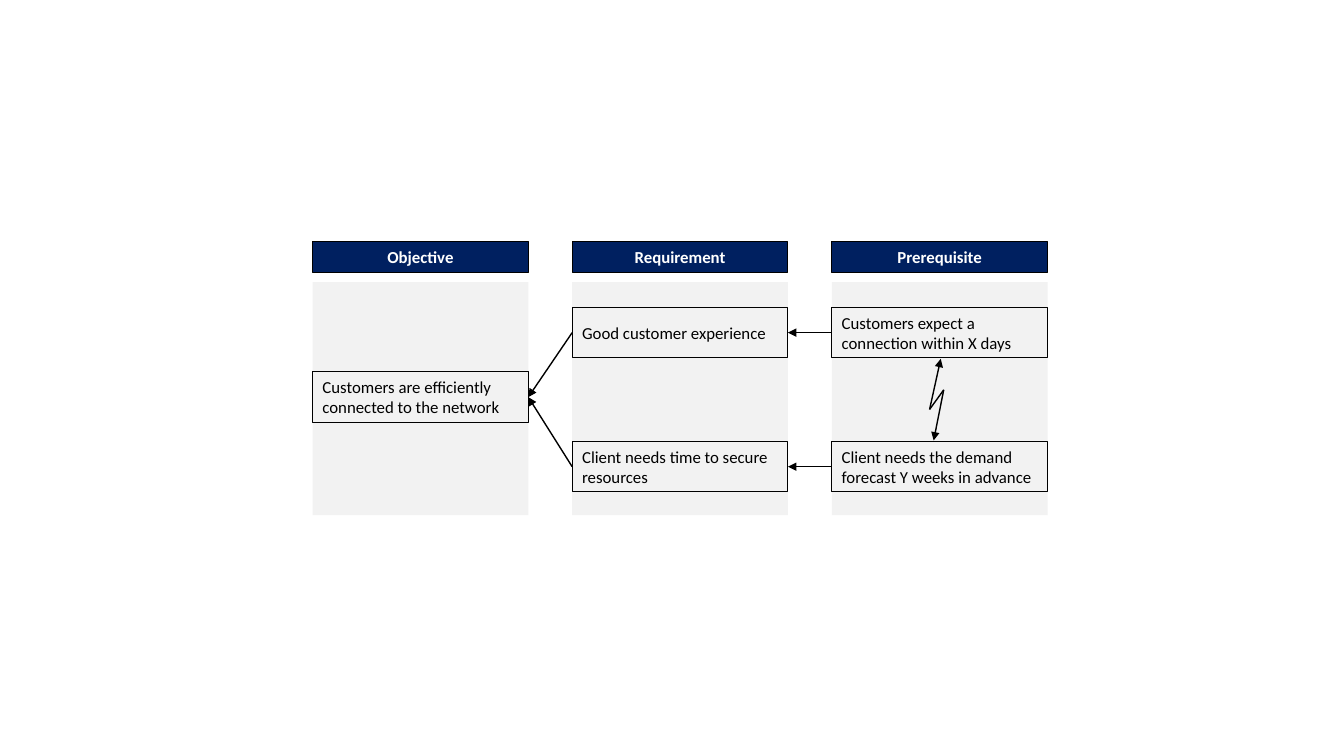
import pptx
import pptx.util
import pptx.dml.color
import pptx.enum.shapes
import pptx.enum.text
import pptx.oxml.ns
from collections import namedtuple
from lxml import etree

NAVY = pptx.dml.color.RGBColor(0x00, 0x20, 0x60)
PALE = pptx.dml.color.RGBColor(0xF2, 0xF2, 0xF2)
BLACK = pptx.dml.color.RGBColor(0, 0, 0)
WHITE = pptx.dml.color.RGBColor(255, 255, 255)

Box = namedtuple("Box", "left top width height")

COLUMN_WIDTH = 2.14
COLUMN_COUNT = 3
HEADER_HEIGHT = 0.3
PANEL_OFFSET = 0.4
STATEMENT_HEIGHT = 0.5
STATEMENT_OFFSETS = {"upper": 0.65, "middle": 1.29, "lower": 1.98}

HEADINGS = ["Objective", "Requirement", "Prerequisite"]
STATEMENTS = {
    (0, "middle"): "Customers are efficiently connected to the network",
    (1, "upper"): "Good customer experience",
    (1, "lower"): "Client needs time to secure resources",
    (2, "upper"): "Customers expect a connection within X days",
    (2, "lower"): "Client needs the demand forecast Y weeks in advance",
}
DEPENDENCIES = [
    ((2, "upper"), (1, "upper")),
    ((1, "upper"), (0, "middle")),
    ((1, "lower"), (0, "middle")),
    ((2, "lower"), (1, "lower")),
]
CONFLICT_STROKES = [
    ((1, 0.38), (0.29, 1), True),
    ((0, 0.62), (0.79, 0), True),
    ((1, 0.38), (0, 0.62), False),
]


def inches(*lengths):
    return [pptx.util.Inches(length) for length in lengths]


def add_rectangle(slide, box, fill=None, outlined=True):
    rectangle = slide.shapes.add_shape(
        pptx.enum.shapes.MSO_SHAPE.RECTANGLE, *inches(*box))
    rectangle.shadow.inherit = False
    if fill is None:
        rectangle.fill.background()
    else:
        rectangle.fill.solid()
        rectangle.fill.fore_color.rgb = fill
    if outlined:
        rectangle.line.color.rgb = BLACK
        rectangle.line.width = pptx.util.Pt(0.75)
    else:
        rectangle.line.fill.background()
    return rectangle


def write_text(shape, text, color=BLACK, bold=False,
               align=pptx.enum.text.PP_ALIGN.LEFT):
    frame = shape.text_frame
    frame.word_wrap = True
    frame.vertical_anchor = pptx.enum.text.MSO_ANCHOR.MIDDLE
    paragraph = frame.paragraphs[0]
    paragraph.alignment = align
    run = paragraph.add_run()
    run.text = text
    run.font.name = "Calibri"
    run.font.size = pptx.util.Pt(12)
    run.font.bold = bold
    run.font.color.rgb = color


def add_line(slide, start=(0, 0), end=(0, 0), arrow=True):
    line = slide.shapes.add_connector(
        pptx.enum.shapes.MSO_CONNECTOR.STRAIGHT, *inches(*start, *end))
    line.line.color.rgb = BLACK
    line.line.width = pptx.util.Pt(1)
    properties = line._element.spPr
    if arrow:
        outline = properties.find(pptx.oxml.ns.qn("a:ln"))
        etree.SubElement(outline, pptx.oxml.ns.qn("a:tailEnd"), type="triangle")
    etree.SubElement(properties, pptx.oxml.ns.qn("a:effectLst"))
    return line


def draw_column(slide, box, heading):
    panel = Box(box.left, box.top + PANEL_OFFSET,
                box.width, box.height - PANEL_OFFSET)
    add_rectangle(slide, panel, fill=PALE, outlined=False)
    header = add_rectangle(slide, box._replace(height=HEADER_HEIGHT), fill=NAVY)
    write_text(header, heading, color=WHITE, bold=True,
               align=pptx.enum.text.PP_ALIGN.CENTER)


def draw_statement(slide, column, level, text):
    box = column._replace(top=column.top + STATEMENT_OFFSETS[level],
                          height=STATEMENT_HEIGHT)
    statement = add_rectangle(slide, box)
    write_text(statement, text)
    return statement


def draw_conflict(slide, box):
    def locate(point):
        return (box.left + point[0] * box.width, box.top + point[1] * box.height)

    for start, end, arrow in CONFLICT_STROKES:
        add_line(slide, locate(start), locate(end), arrow)


def draw_cloud(slide, box):
    pitch = (box.width - COLUMN_WIDTH) / (COLUMN_COUNT - 1)
    columns = [Box(box.left + index * pitch, box.top, COLUMN_WIDTH, box.height)
               for index in range(COLUMN_COUNT)]
    for column, heading in zip(columns, HEADINGS):
        draw_column(slide, column, heading)

    statements = {(index, level): draw_statement(slide, columns[index], level, text)
                  for (index, level), text in STATEMENTS.items()}
    for source, target in DEPENDENCIES:
        arrow = add_line(slide)
        arrow.begin_connect(statements[source], 1)
        arrow.end_connect(statements[target], 3)

    gap_top = STATEMENT_OFFSETS["upper"] + STATEMENT_HEIGHT
    gap_height = STATEMENT_OFFSETS["lower"] - gap_top
    draw_conflict(slide, Box(columns[-1].left + 0.97, box.top + gap_top + 0.01,
                             0.14, gap_height - 0.02))


def main():
    presentation = pptx.Presentation()
    presentation.slide_width, presentation.slide_height = inches(13.33, 7.5)
    slide = presentation.slides.add_slide(presentation.slide_layouts[6])
    draw_cloud(slide, Box(3.1, 2.4, 7.29, 2.71))
    presentation.save("out.pptx")


if __name__ == "__main__":
    main()
